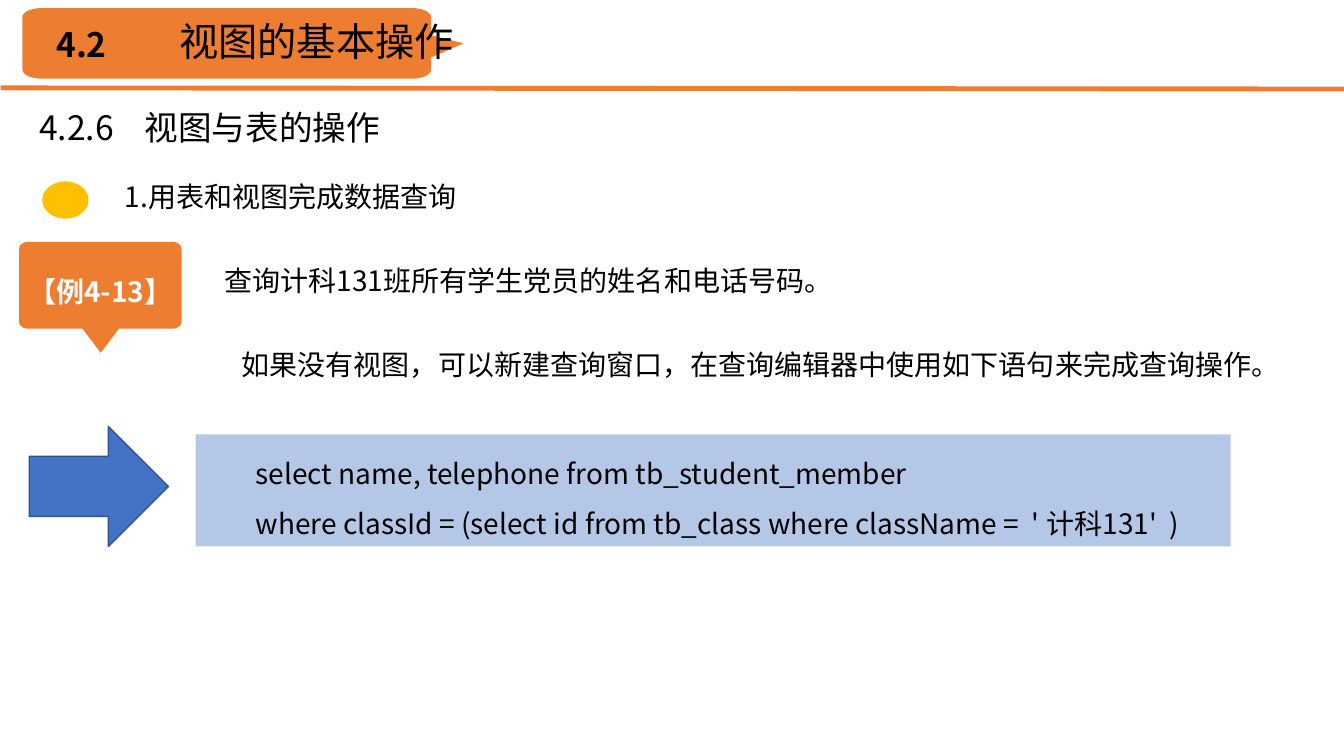
import math

from lxml import etree
from pptx import Presentation
from pptx.dml.color import RGBColor
from pptx.enum.shapes import MSO_CONNECTOR, MSO_SHAPE
from pptx.enum.text import MSO_ANCHOR, MSO_AUTO_SIZE, PP_ALIGN
from pptx.oxml.ns import qn
from pptx.util import Pt

LEFT, CENTER, JUSTIFY = PP_ALIGN.LEFT, PP_ALIGN.CENTER, PP_ALIGN.JUSTIFY
TOP, MIDDLE = MSO_ANCHOR.TOP, MSO_ANCHOR.MIDDLE
GROW = MSO_AUTO_SIZE.SHAPE_TO_FIT_TEXT
STRAIGHT = MSO_CONNECTOR.STRAIGHT
ELLIPSE, RECTANGLE, RIGHT_ARROW = (
    MSO_SHAPE.OVAL, MSO_SHAPE.RECTANGLE, MSO_SHAPE.RIGHT_ARROW)

FONT = "Noto Sans CJK SC"
COLORS = {
    "text": "000000",
    "label": "FFFFFF",
    "accent": "ED7D31",
    "bullet": "FFC000",
    "arrow": "4472C4",
    "arrow_edge": "325491",
    "code": "B4C7E7",
}
TITLE_ONLY = 5
AFTER_TOP_RIGHT, AFTER_BOTTOM_RIGHT = 1, 2
BODY = {"indent": 36, "spacing": 1.5}


def color(name):
    return RGBColor.from_string(COLORS[name])


def write(shape, lines, size, bold=False, ink="text", align=LEFT,
          indent=0, spacing=None, tab=None):
    frame = shape.text_frame
    for number, line in enumerate(lines):
        paragraph = frame.add_paragraph() if number else frame.paragraphs[0]
        paragraph.alignment = align
        if spacing:
            paragraph.line_spacing = spacing
        properties = paragraph._p.get_or_add_pPr()
        if indent:
            properties.set("indent", str(Pt(indent)))
        if tab:
            stops = etree.SubElement(properties, qn("a:tabLst"))
            etree.SubElement(stops, qn("a:tab"), pos=str(Pt(tab)), algn="l")
        run = paragraph.add_run()
        run.text = line
        run.font.color.rgb = color(ink)
        for name, value in {"size": Pt(size), "bold": bold, "name": FONT}.items():
            setattr(run.font, name, value)
        etree.SubElement(run._r.get_or_add_rPr(), qn("a:ea"), typeface=FONT)


def set_frame(shape, **changes):
    values = {"word_wrap": True, "auto_size": GROW, "vertical_anchor": TOP}
    for name, value in (values | changes).items():
        setattr(shape.text_frame, name, value)


def add_text(slide, box, line, size, **style):
    shape = slide.shapes.add_textbox(*map(Pt, box))
    set_frame(shape)
    write(shape, [line], size, **style)


def paint(shape, fill, edge=None):
    shape.shadow.inherit = False
    shape.fill.solid()
    shape.fill.fore_color.rgb = color(fill)
    if edge:
        shape.line.color.rgb = color(edge)
        shape.line.width = Pt(1)
    else:
        shape.line.fill.background()


def add_preset(slide, kind, box, fill, edge=None):
    shape = slide.shapes.add_shape(kind, *map(Pt, box))
    paint(shape, fill, edge)
    return shape


def add_pointed_box(slide, box, radii, pointer, corner):
    """Draw a rounded box whose outline takes in the pointer after a corner."""
    left, top, width, height = box
    rx, ry = radii
    near_x, far_x = left + rx, left + width - rx
    near_y, far_y = top + ry, top + height - ry
    centers = [(near_x, near_y), (far_x, near_y), (far_x, far_y), (near_x, far_y)]
    outline = []
    for number, (x, y) in enumerate(centers):
        for step in range(10):
            angle = math.radians(180 + 90 * number + 10 * step)
            outline.append((x + rx * math.cos(angle), y + ry * math.sin(angle)))
        if number == corner:
            outline.extend(pointer)
    points = [(Pt(x), Pt(y)) for x, y in outline]
    builder = slide.shapes.build_freeform(*points[0])
    builder.add_line_segments(points[1:], close=True)
    shape = builder.convert_to_shape()
    paint(shape, "accent")
    return shape


def add_rule(slide, start, end):
    rule = slide.shapes.add_connector(STRAIGHT, *map(Pt, start + end))
    rule.line.color.rgb = color("accent")
    rule.line.width = Pt(3.5)
    etree.SubElement(rule._element.spPr, qn("a:effectLst"))


def place_title(slide, box, line):
    title = slide.shapes.title
    title.left, title.top, title.width, title.height = map(Pt, box)
    set_frame(title)
    write(title, [line], 28)
    title.element.getparent().append(title.element)


def main():
    deck = Presentation()
    deck.slide_width, deck.slide_height = Pt(960), Pt(540)
    slide = deck.slides.add_slide(deck.slide_layouts[TITLE_ONLY])

    add_rule(slide, (0.5, 62.8), (962, 63.6))
    add_pointed_box(slide, (16, 5.8, 292, 50.4), (13.7, 6.5),
                    [(308, 25.2), (331.2, 31), (308, 41)], AFTER_TOP_RIGHT)
    add_text(slide, (33.1, 13.7, 68.4, 36), "4.2", 24, bold=True)
    place_title(slide, (121, 8.6, 354, 41), "视图的基本操作")

    add_text(slide, (20.9, 72.7, 354, 36), "4.2.6\t视图与表的操作", 24, tab=75.5)
    add_text(slide, (82.1, 124.6, 328, 31.7), "1.用表和视图完成数据查询", 20)
    add_preset(slide, ELLIPSE, (30.2, 129.6, 33.1, 26.6), "bullet")

    example = add_pointed_box(slide, (13.7, 172.8, 116, 62), (6.5, 5),
                              [(85, 234.8), (72, 252), (59, 234.8)],
                              AFTER_BOTTOM_RIGHT)
    set_frame(example, auto_size=MSO_AUTO_SIZE.NONE, vertical_anchor=MIDDLE,
              margin_left=0, margin_top=0, margin_right=0, margin_bottom=Pt(8.6))
    write(example, ["【例4-13】"], 20, bold=True, ink="label", align=CENTER)

    add_text(slide, (117.4, 172.8, 700.6, 43.2),
             "查询计科131班所有学生党员的姓名和电话号码。", 20, **BODY)
    add_text(slide, (129.6, 232.6, 799.2, 43.2),
             "如果没有视图，可以新建查询窗口，在查询编辑器中使用如下语句来完成查询操作。",
             20, **BODY)

    add_preset(slide, RIGHT_ARROW, (20.9, 304.6, 99.4, 85.7), "arrow", "arrow_edge")
    query = add_preset(slide, RECTANGLE, (139.7, 310.3, 739.4, 79.9), "code")
    set_frame(query)
    write(query, [
        "select name, telephone from tb_student_member",
        "where classId = (select id from tb_class where className =  ' 计科131'  )",
    ], 20, align=JUSTIFY, **BODY)

    deck.save("out.pptx")


if __name__ == "__main__":
    main()
